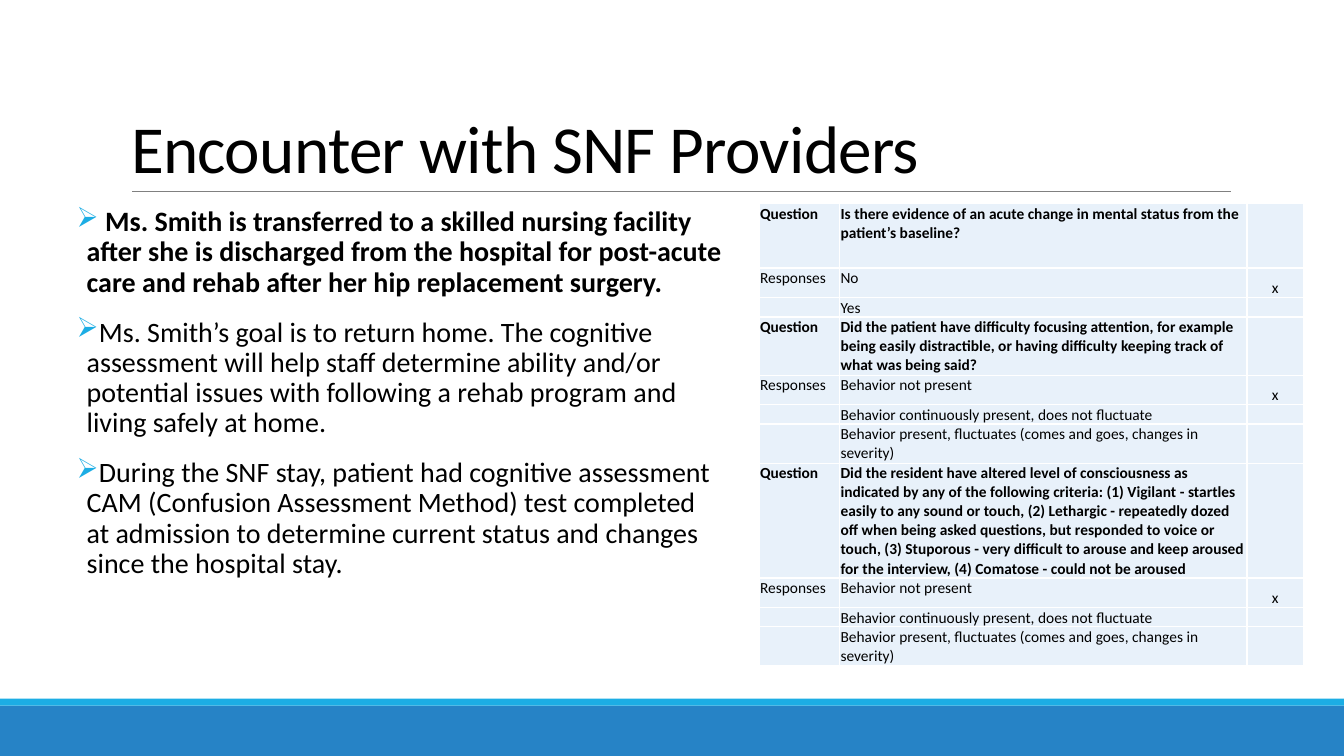
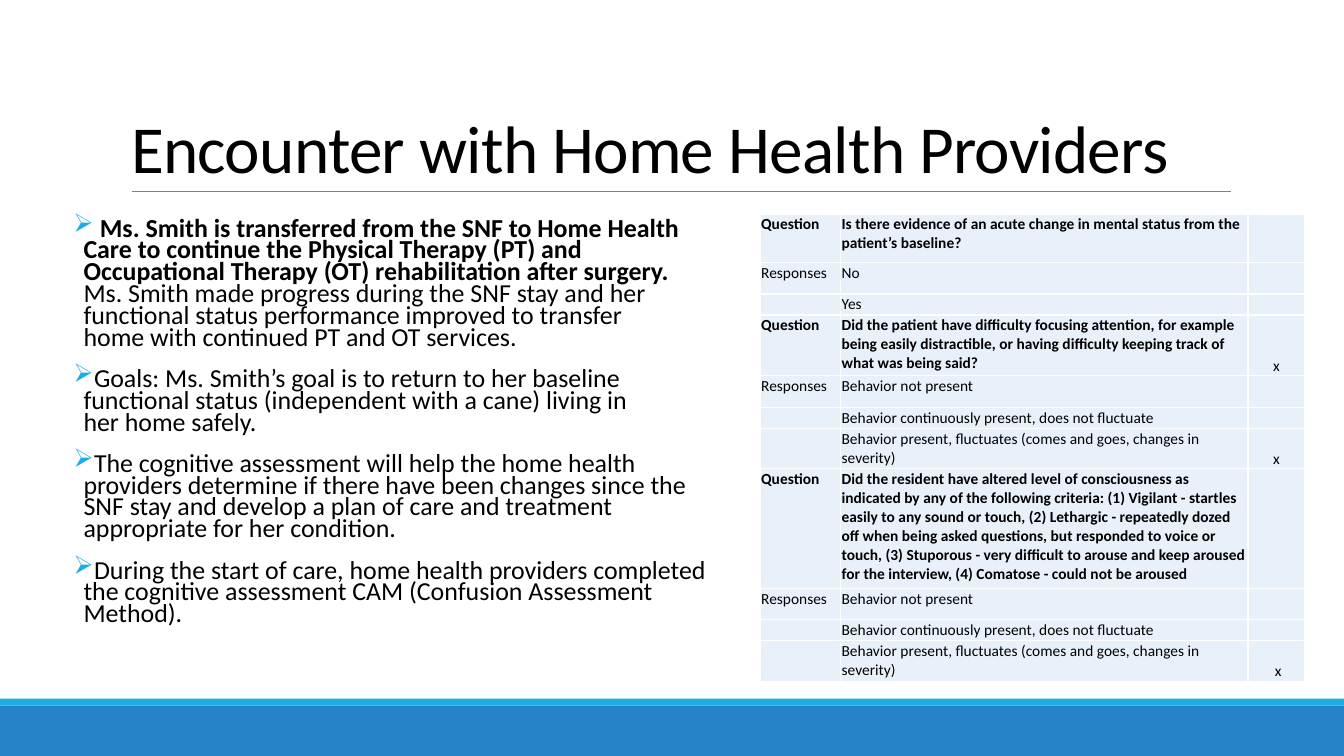
from dataclasses import dataclass

from lxml.etree import SubElement
from pptx import Presentation
from pptx.dml.color import RGBColor
from pptx.enum.shapes import MSO_CONNECTOR as Connector, MSO_SHAPE as Shape
from pptx.enum.text import MSO_ANCHOR as Anchor, PP_ALIGN as Align
from pptx.oxml.ns import qn
from pptx.util import Pt


@dataclass(frozen=True)
class Theme:
    font: str = "Calibri"
    text: str = "000000"
    footer: str = "2683C6"
    accent: str = "1CADE4"
    rule: str = "808080"
    cell: str = "E8F1FA"
    border: str = "FFFFFF"
    title_size: float = 48
    table_size: float = 11


WIDTH, HEIGHT = 960, 540
TITLE_ONLY = 5
COLUMNS = (57.5, 291, 40.5)

# Assessment content: each question with its possible responses
PRESENCE = ("Behavior not present",
            "Behavior continuously present, does not fluctuate",
            "Behavior present, fluctuates (comes and goes, changes in severity)")
ASSESSMENT = (
    ("Is there evidence of an acute change in mental status from the patient’s baseline?",
     ("No", "Yes")),
    ("Did the patient have difficulty focusing attention, for example being easily "
     "distractible, or having difficulty keeping track of what was being said?", PRESENCE),
    ("Did the resident have altered level of consciousness as indicated by any of the "
     "following criteria: (1) Vigilant - startles easily to any sound or touch, "
     "(2) Lethargic - repeatedly dozed off when being asked questions, but responded to "
     "voice or touch, (3) Stuporous - very difficult to arouse and keep aroused for the "
     "interview, (4) Comatose - could not be aroused", PRESENCE),
)

# Slide content: bold_lines counts the bold lines that open the story
ENCOUNTERS = (
    dict(
        title="Encounter with SNF Providers",
        story=dict(left=54.7, top=144.7, size=20, spacing=0.9, bold_lines=3, points=(
            " Ms. Smith is transferred to a skilled nursing facility\n"
            "after she is discharged from the hospital for post-acute\n"
            "care and rehab after her hip replacement surgery.",
            "Ms. Smith’s goal is to return home. The cognitive\n"
            "assessment will help staff determine ability and/or\n"
            "potential issues with following a rehab program and\n"
            "living safely at home.",
            "During the SNF stay, patient had cognitive assessment\n"
            "CAM (Confusion Assessment Method) test completed\n"
            "at admission to determine current status and changes\n"
            "since the hospital stay.")),
        answers=dict(left=542.2, top=145.5, question_heights=(46, 41.5, 82),
                     response_heights=(21, 14, 28), marks={1: "x", 4: "x", 8: "x"}),
    ),
    dict(
        title="Encounter with Home Health Providers",
        story=dict(left=52.5, top=153.4, size=18.5, spacing=0.7, bold_lines=3, points=(
            " Ms. Smith is transferred from the SNF to Home Health\n"
            "Care to continue the Physical Therapy (PT) and\n"
            "Occupational Therapy (OT) rehabilitation after surgery.\n"
            "Ms. Smith made progress during the SNF stay and her\n"
            "functional status performance improved to transfer\n"
            "home with continued PT and OT services.",
            "Goals: Ms. Smith’s goal is to return to her baseline\n"
            "functional status (independent with a cane) living in\n"
            "her home safely.",
            "The cognitive assessment will help the home health\n"
            "providers determine if there have been changes since the\n"
            "SNF stay and develop a plan of care and treatment\n"
            "appropriate for her condition.",
            "During the start of care, home health providers completed\n"
            "the cognitive assessment CAM (Confusion Assessment\n"
            "Method).")),
        answers=dict(left=543, top=153, question_heights=(34.5, 43.5, 85.5),
                     response_heights=(22.5, 15, 28.8), marks={3: "x", 6: "x", 10: " x"}),
    ),
)


class Deck:
    def __init__(self, theme):
        self.theme = theme
        self.prs = Presentation()
        self.prs.slide_width, self.prs.slide_height = Pt(WIDTH), Pt(HEIGHT)
        self.slide = None

    def new_slide(self, title):
        self.slide = self.prs.slides.add_slide(self.prs.slide_layouts[TITLE_ONLY])
        self.band(504, 36, self.theme.footer)
        self.band(499, 5, self.theme.accent)
        self.rule(94.5, 879, 137)
        self.title(title)

    def band(self, top, height, color):
        band = self.slide.shapes.add_shape(Shape.RECTANGLE, 0, Pt(top), Pt(WIDTH), Pt(height))
        band.shadow.inherit = False
        band.fill.solid()
        band.fill.fore_color.rgb = RGBColor.from_string(color)
        band.line.fill.background()

    def rule(self, left, right, y):
        rule = self.slide.shapes.add_connector(
            Connector.STRAIGHT, Pt(left), Pt(y), Pt(right), Pt(y))
        rule.line.color.rgb = RGBColor.from_string(self.theme.rule)
        rule.line.width = Pt(0.5)
        SubElement(rule._element.spPr, qn("a:effectLst"))

    def style(self, run, size, bold=False):
        run.font.name = self.theme.font
        run.font.size = Pt(size)
        run.font.bold = bold
        run.font.color.rgb = RGBColor.from_string(self.theme.text)

    def title(self, text):
        title = self.slide.shapes.title
        title.left, title.top, title.width, title.height = Pt(86.4), Pt(22.5), Pt(792), Pt(114.5)
        frame = title.text_frame
        frame.text = text
        frame.vertical_anchor = Anchor.BOTTOM
        heading = frame.paragraphs[0]
        heading.alignment = Align.LEFT
        heading.line_spacing = 0.85
        run = heading.runs[0]
        self.style(run, self.theme.title_size)
        run.font._element.set("spc", "-50")

    def bullet(self, paragraph):
        props = paragraph._p.get_or_add_pPr()
        props.set("marL", str(Pt(7.2)))
        props.set("indent", str(-Pt(7.2)))
        color = SubElement(props, qn("a:buClr"))
        SubElement(color, qn("a:srgbClr"), val=self.theme.accent)
        SubElement(props, qn("a:buChar"), char="➢")

    def story(self, left, top, size, spacing, bold_lines, points):
        story = self.slide.shapes.add_textbox(Pt(left), Pt(top), Pt(818.6), Pt(316))
        frame = story.text_frame
        frame.word_wrap = True
        frame.margin_left = frame.margin_right = 0
        for index, text in enumerate(points):
            point = frame.add_paragraph() if index else frame.paragraphs[0]
            point.text = text
            point.line_spacing = spacing
            point.space_before, point.space_after = Pt(12), Pt(2)
            self.bullet(point)
            for line, run in enumerate(point.runs):
                self.style(run, size, bold=index == 0 and line < bold_lines)

    def cell(self, cell, text, bold=False, mark=False):
        cell.margin_left = cell.margin_right = cell.margin_top = Pt(0.7)
        cell.margin_bottom = 0
        # Borders come before the fill in the cell properties
        props = cell._tc.get_or_add_tcPr()
        for side in ("a:lnL", "a:lnR", "a:lnT", "a:lnB"):
            edge = SubElement(props, qn(side), w=str(Pt(1)))
            fill = SubElement(edge, qn("a:solidFill"))
            SubElement(fill, qn("a:srgbClr"), val=self.theme.border)
        cell.fill.solid()
        cell.fill.fore_color.rgb = RGBColor.from_string(self.theme.cell)
        paragraph = cell.text_frame.paragraphs[0]
        if not text:
            # Keeps an empty cell from stretching its row
            SubElement(paragraph._p, qn("a:endParaRPr"), sz=str(int(self.theme.table_size * 100)))
            return
        paragraph.text = text
        self.style(paragraph.runs[0], self.theme.table_size, bold)
        if mark:
            paragraph.alignment = Align.CENTER
            cell.vertical_anchor = Anchor.BOTTOM

    def answers(self, left, top, question_heights, response_heights, marks):
        rows = []
        for (question, responses), height in zip(ASSESSMENT, question_heights):
            rows.append(("Question", question, height))
            for index, response in enumerate(responses):
                rows.append(("" if index else "Responses", response, response_heights[index]))
        table = self.slide.shapes.add_table(
            len(rows), len(COLUMNS), Pt(left), Pt(top), Pt(sum(COLUMNS)),
            Pt(sum(row[2] for row in rows))).table
        table.first_row = table.horz_banding = False
        for column, width in zip(table.columns, COLUMNS):
            column.width = Pt(width)
        for index, (label, text, height) in enumerate(rows):
            table.rows[index].height = Pt(height)
            bold = label == "Question"
            self.cell(table.cell(index, 0), label, bold)
            self.cell(table.cell(index, 1), text, bold)
            self.cell(table.cell(index, 2), marks.get(index, ""), mark=True)


def main():
    deck = Deck(Theme())
    for encounter in ENCOUNTERS:
        deck.new_slide(encounter["title"])
        deck.story(**encounter["story"])
        deck.answers(**encounter["answers"])
    deck.prs.save("out.pptx")


if __name__ == "__main__":
    main()
